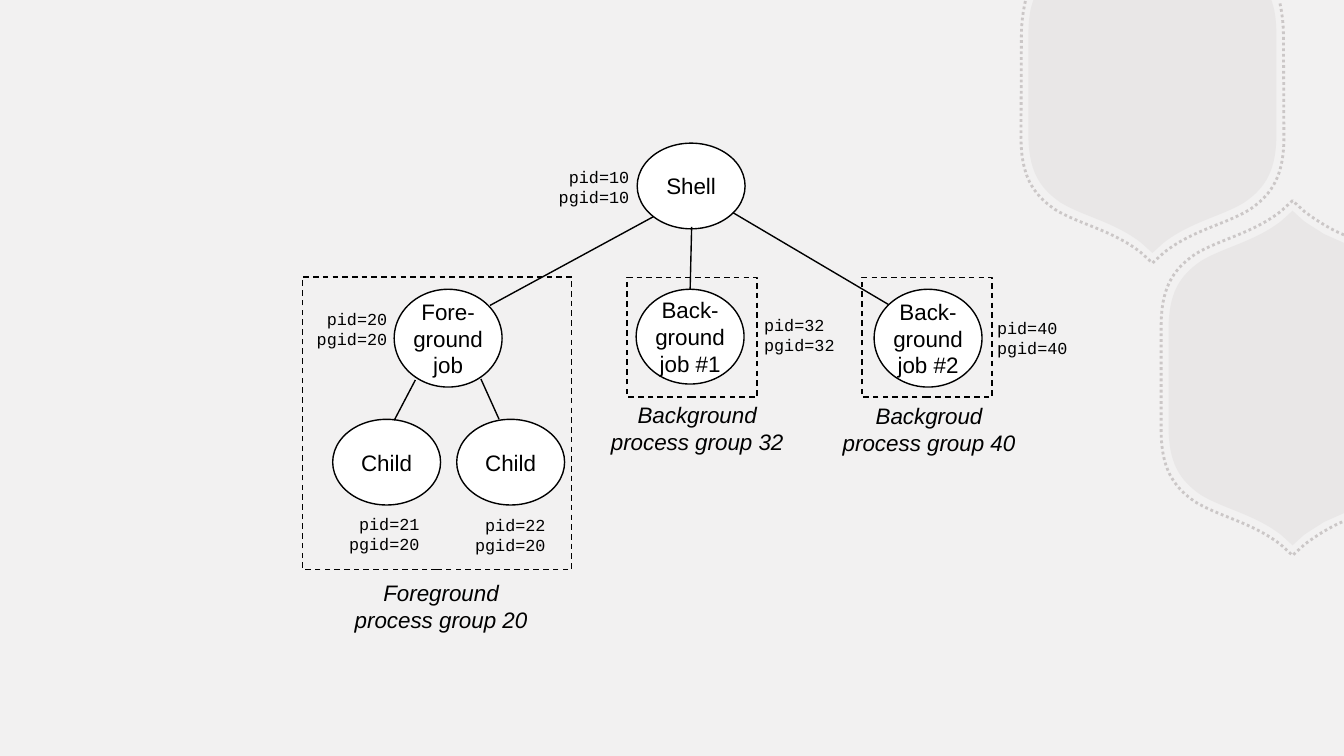
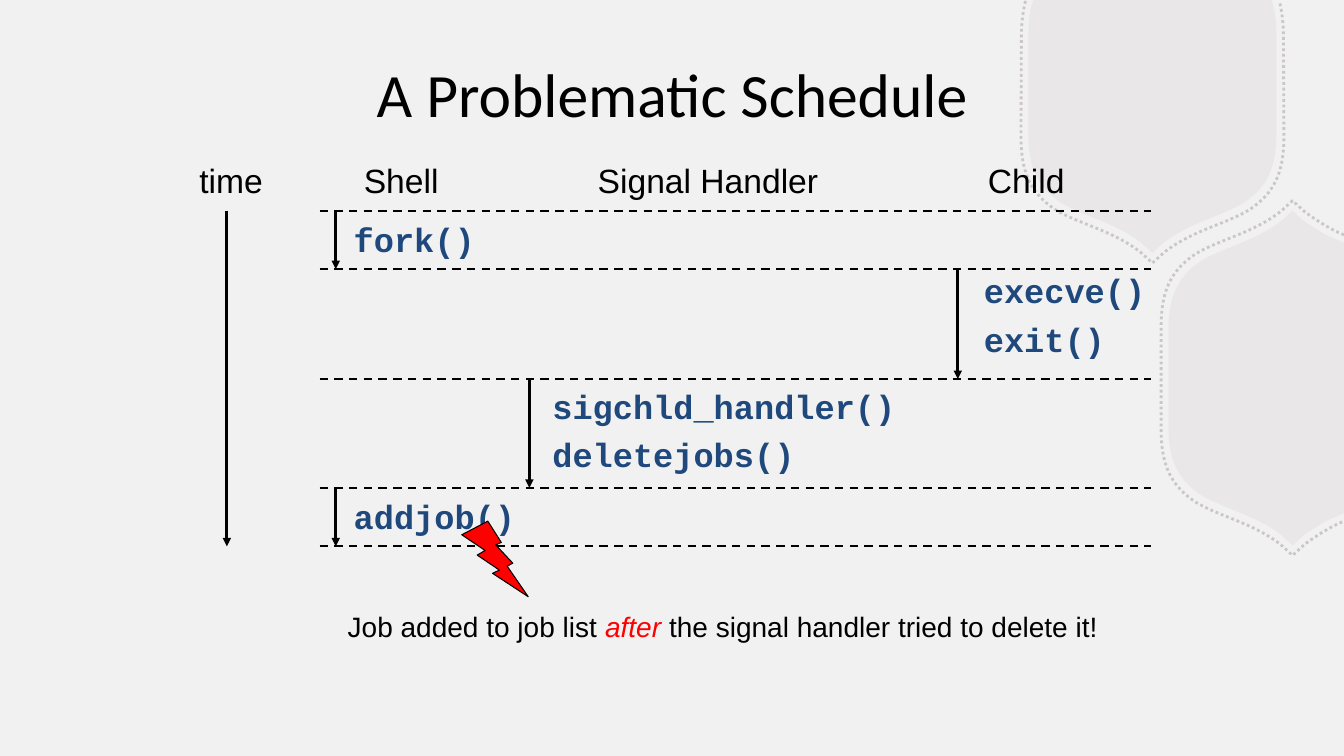
from lxml.etree import SubElement
from pptx import Presentation
from pptx.dml.color import RGBColor
from pptx.enum.dml import MSO_LINE
from pptx.enum.shapes import MSO_CONNECTOR, MSO_SHAPE
from pptx.enum.text import MSO_ANCHOR, MSO_AUTO_SIZE, PP_ALIGN
from pptx.oxml.ns import qn
from pptx.util import Emu, Pt

EMU_PER_PX = 9144
SLIDE_WIDTH, SLIDE_HEIGHT = 1333, 750

BACKGROUND = RGBColor(0xF2, 0xF1, 0xF1)
HEXAGON = RGBColor(0xB8, 0xB2, 0xB2)
BLACK = RGBColor(0x00, 0x00, 0x00)
WHITE = RGBColor(0xFF, 0xFF, 0xFF)
NAVY = RGBColor(0x1F, 0x49, 0x7D)
RED = RGBColor(0xFF, 0x00, 0x00)

TITLE = {"name": "Calibri", "size": Pt(44), "color": BLACK}
NODE = {"name": "Arial", "size": Pt(16), "color": BLACK}
CAPTION = {**NODE, "italic": True}
IDENTIFIER = {"name": "Courier New", "size": Pt(12), "color": BLACK}
HEADING = {"name": "Arial", "size": Pt(24), "color": BLACK}
CODE = {"name": "Courier New", "size": Pt(24), "color": NAVY, "bold": True}
REMARK = {"name": "Arial", "size": Pt(20), "color": BLACK}
EMPHASIS = {**REMARK, "color": RED, "italic": True}

CENTER = {"alignment": PP_ALIGN.CENTER}
LEFT = {"alignment": PP_ALIGN.LEFT}
RIGHT = {"alignment": PP_ALIGN.RIGHT}
SPACED = {"line_spacing": 0.9, "space_before": Pt(9)}

LINE, CURVE = 1, 3
CORNER = [(0, 166), (11, 156), (38, 135), (68, 130), (91, 116),
          (113, 101), (123, 83), (123, 48)]
CORNER_SEGMENTS = [LINE, CURVE, CURVE]
TOP_CENTER, RIGHT_CENTER = (1143, 85), (1282, 375)
PANEL_SCALE, BORDER_SCALE = 1, 1.06


def px(value):
    return Emu(round(value * EMU_PER_PX))


def scaled(box):
    return [px(value) for value in box]


def apply_format(target, values):
    for name, value in values.items():
        if name == "color":
            target.color.rgb = value
        else:
            setattr(target, name, value)


def write_lines(frame, lines, paragraph_format):
    for index, runs in enumerate(lines):
        paragraph = frame.paragraphs[0] if index == 0 else frame.add_paragraph()
        apply_format(paragraph, paragraph_format)
        for text, font_format in runs:
            run = paragraph.add_run()
            run.text = text
            apply_format(run.font, font_format)


def plain_lines(lines, font_format):
    return [[(line, font_format)] for line in lines]


def add_text(slide, box, lines, paragraph_format, anchor=MSO_ANCHOR.TOP):
    frame = slide.shapes.add_textbox(*scaled(box)).text_frame
    apply_format(frame, {
        "word_wrap": False,
        "auto_size": MSO_AUTO_SIZE.SHAPE_TO_FIT_TEXT,
        "vertical_anchor": anchor,
    })
    write_lines(frame, lines, paragraph_format)


def style_line(line, width, dash=None):
    line.color.rgb = BLACK
    line.width = Pt(width)
    if dash:
        line.dash_style = dash


def add_outlined(slide, preset, box, fill=None, width=1, dash=None):
    shape = slide.shapes.add_shape(preset, *scaled(box))
    shape.shadow.inherit = False
    if fill is None:
        shape.fill.background()
    else:
        shape.fill.solid()
        shape.fill.fore_color.rgb = fill
    style_line(shape.line, width, dash)
    return shape


def add_line(slide, start, end, width, dash=None, arrow=False):
    connector = slide.shapes.add_connector(
        MSO_CONNECTOR.STRAIGHT, *scaled(start + end))
    style_line(connector.line, width, dash)
    properties = connector.element.spPr
    if arrow:
        SubElement(properties.find(qn("a:ln")), qn("a:tailEnd"), type="triangle")
    SubElement(properties, qn("a:effectLst"))
    return connector


def top_half(scale, tail, tail_segments):
    corner = [(x * scale, y * scale) for x, y in CORNER]
    return corner + tail, CORNER_SEGMENTS + tail_segments


def right_half(scale, tail, tail_segments):
    corner = [(-x * scale, y * scale) for x, y in CORNER]
    points = tail[::-1] + corner
    return points[::-1], (tail_segments[::-1] + CORNER_SEGMENTS)[::-1]


def mirrored_outline(center, half, sign_x, sign_y):
    points, segments = half
    mirror = [(x * sign_x, y * sign_y) for x, y in reversed(points)]
    shares_apex = mirror[-1] == points[0]
    outline = mirror + points[1 if shares_apex else 0:]
    joined = segments[::-1] + ([] if shares_apex else [LINE]) + segments
    return [(center[0] + x, center[1] + y) for x, y in outline], joined


def bend_segments(shape, segments):
    lines = iter(list(shape.element.spPr.iter(qn("a:lnTo"))))
    for segment in segments:
        pieces = [next(lines) for _ in range(segment)]
        if segment == CURVE:
            outline = pieces[0].getparent()
            curve = SubElement(outline, qn("a:cubicBezTo"))
            pieces[0].addprevious(curve)
            for piece in pieces:
                curve.append(piece[0])
                outline.remove(piece)


def add_outline(slide, points, segments, close):
    points = [scaled(point) for point in points]
    builder = slide.shapes.build_freeform(*points[0], scale=1.0)
    builder.add_line_segments(points[1:], close=False)
    shape = builder.convert_to_shape()
    bend_segments(shape, segments)
    if close:
        SubElement(next(shape.element.spPr.iter(qn("a:path"))), qn("a:close"))
    shape.shadow.inherit = False
    return shape


def move_to_master(presentation, shape, opacity, position):
    color = next(shape.element.spPr.iter(qn("a:srgbClr")))
    SubElement(color, qn("a:alpha"), val=str(opacity * 1000))
    shape.element.nvSpPr.cNvPr.set("id", str(100 + position))
    presentation.slide_master.shapes.element.insert(2 + position, shape.element)


def decorate_master(presentation, slide):
    fill = presentation.slide_master.background.fill
    fill.solid()
    fill.fore_color.rgb = BACKGROUND

    panels = [
        (TOP_CENTER, top_half(PANEL_SCALE, [
            (123, -49), (123, -62), (122, -73), (119, -82), (118, -85)],
            [LINE, CURVE, LINE]), -1, 1),
        (RIGHT_CENTER, right_half(PANEL_SCALE, [
            (11, 156), (18, 151), (25, 147), (31, 143), (51, 134)],
            [LINE, CURVE, LINE]), 1, -1)]
    borders = [
        (TOP_CENTER, top_half(BORDER_SCALE, [
            (130, -41), (130, -55), (130, -66), (126, -84)], [LINE, CURVE]), -1, 1),
        (RIGHT_CENTER, right_half(BORDER_SCALE, [
            (12, 165), (20, 159), (36, 148), (51, 142)], [LINE, CURVE]), 1, -1)]

    for position, hexagon in enumerate(panels):
        panel = add_outline(slide, *mirrored_outline(*hexagon), True)
        panel.fill.solid()
        panel.fill.fore_color.rgb = HEXAGON
        panel.line.fill.background()
        move_to_master(presentation, panel, 15, position)
    for position, hexagon in enumerate(borders, len(panels)):
        border = add_outline(slide, *mirrored_outline(*hexagon), False)
        border.fill.background()
        style_line(border.line, 2, MSO_LINE.ROUND_DOT)
        border.line.color.rgb = HEXAGON
        move_to_master(presentation, border, 65, position)


def add_process(slide, box, name, pid, pgid, label_offset, label_format):
    left, top, _, _ = box
    node = add_outlined(slide, MSO_SHAPE.OVAL, box, WHITE)
    apply_format(node.text_frame, {
        "word_wrap": False, "vertical_anchor": MSO_ANCHOR.MIDDLE})
    write_lines(node.text_frame, plain_lines(name, NODE), CENTER)
    label_box = (left + label_offset[0], top + label_offset[1], 91, 51)
    label = plain_lines([f"pid={pid}", f"pgid={pgid}"], IDENTIFIER)
    add_text(slide, label_box, label, label_format, MSO_ANCHOR.MIDDLE)
    return node


def add_process_group(slide, box, caption, caption_offset, pgid, processes):
    left, top, _, _ = box
    nodes = [
        add_process(slide, (left + x, top + y, 107, height), name, pid, pgid, *label)
        for x, y, height, name, pid, *label in processes]
    add_outlined(slide, MSO_SHAPE.RECTANGLE, box, dash=MSO_LINE.DASH)
    caption_box = (left + caption_offset[0], top + caption_offset[1], 193, 64)
    lines = plain_lines([caption, f"process group {pgid}"], CAPTION)
    add_text(slide, caption_box, lines, CENTER, MSO_ANCHOR.MIDDLE)
    return nodes


def build_process_groups(slide):
    add_process(slide, (632, 142, 107, 85), ["Shell"], 10, 10, (-89, 18), RIGHT)
    add_process_group(slide, (300, 275, 267, 290), "Foreground", (41, 294), 20, [
        (91, 12, 97, ["Fore-", "ground", "job"], 20, (-88, 14), RIGHT),
        (30, 141, 85, ["Child"], 21, (5, 88), RIGHT),
        (153, 141, 85, ["Child"], 22, (7, 89), RIGHT)])
    [first_job] = add_process_group(
        slide, (622, 275, 129, 119), "Background", (-27, 118), 32,
        [(9, 12, 94, ["Back-", "ground", "job #1"], 32, (117, 20), LEFT)])
    add_process_group(slide, (855, 275, 129, 119), "Backgroud", (-30, 119), 40, [
        (12, 12, 97, ["Back-", "ground", "job #2"], 40, (112, 23), LEFT)])

    for start, end in [((412, 377), (391, 417)), ((477, 376), (495, 416)),
                       ((648, 215), (486, 303)), ((727, 211), (881, 302))]:
        add_line(slide, start, end, 1)
    add_line(slide, (686, 225), (686, 287), 1).end_connect(first_job, 0)


def add_title(slide, box, text):
    title = slide.shapes.title
    names = ("left", "top", "width", "height")
    apply_format(title, dict(zip(names, scaled(box))))
    title.text_frame.vertical_anchor = MSO_ANCHOR.MIDDLE
    write_lines(title.text_frame, plain_lines([text], TITLE), CENTER)


def add_timeline(slide, box):
    left, top, width, height = box
    rows = [top + offset for offset in (0, 58, 167, 275, height)]
    for row in rows:
        add_line(slide, (left, row), (left + width, row), 1.5, MSO_LINE.DASH)

    for text, x, heading_width in [("time", -129, 84), ("Shell", 34, 95),
                                   ("Signal Handler", 266, 241), ("Child", 653, 97)]:
        heading_box = (left + x, top - 51, heading_width, 46)
        add_text(slide, heading_box, plain_lines([text], HEADING), SPACED)

    time_x = left - 92
    add_line(slide, (time_x, rows[0]), (time_x, rows[-1]), 2, arrow=True)

    for index, (lane, indent, drop, calls) in enumerate([
            (16, 8, 8, ["fork()"]),
            (633, 16, 0, ["execve()", "exit()"]),
            (208, 13, 6, ["sigchld_handler()", "deletejobs()"]),
            (16, 8, 8, ["addjob()"])]):
        x, start, end = left + lane, rows[index], rows[index + 1]
        add_line(slide, (x, start), (x, end), 2, arrow=True)
        calls_box = (x + indent, start + drop,
                     20 * max(map(len, calls)) + 21, 49 * len(calls) - 2)
        add_text(slide, calls_box, plain_lines(calls, CODE), SPACED)


def add_warning(slide, box):
    left, top, width, _ = box
    remark = [("Job added to job list ", REMARK), ("after", EMPHASIS),
              (" the signal handler tried to delete it!", REMARK)]
    add_text(slide, (left, top + 83, width, 44), [remark], LEFT)
    bolt_box = (left + 123, top, 66, 75)
    add_outlined(slide, MSO_SHAPE.LIGHTNING_BOLT, bolt_box, RED, 0.75)


def build_schedule(slide):
    add_title(slide, (217, 30, 900, 125), "A Problematic Schedule")
    add_timeline(slide, (317, 209, 825, 333))
    add_warning(slide, (335, 517, 769, 127))


def main():
    presentation = Presentation()
    presentation.slide_width = px(SLIDE_WIDTH)
    presentation.slide_height = px(SLIDE_HEIGHT)
    title_only, blank = presentation.slide_layouts[5], presentation.slide_layouts[6]
    groups_slide = presentation.slides.add_slide(blank)
    decorate_master(presentation, groups_slide)
    build_process_groups(groups_slide)
    build_schedule(presentation.slides.add_slide(title_only))
    presentation.save("out.pptx")


if __name__ == "__main__":
    main()
